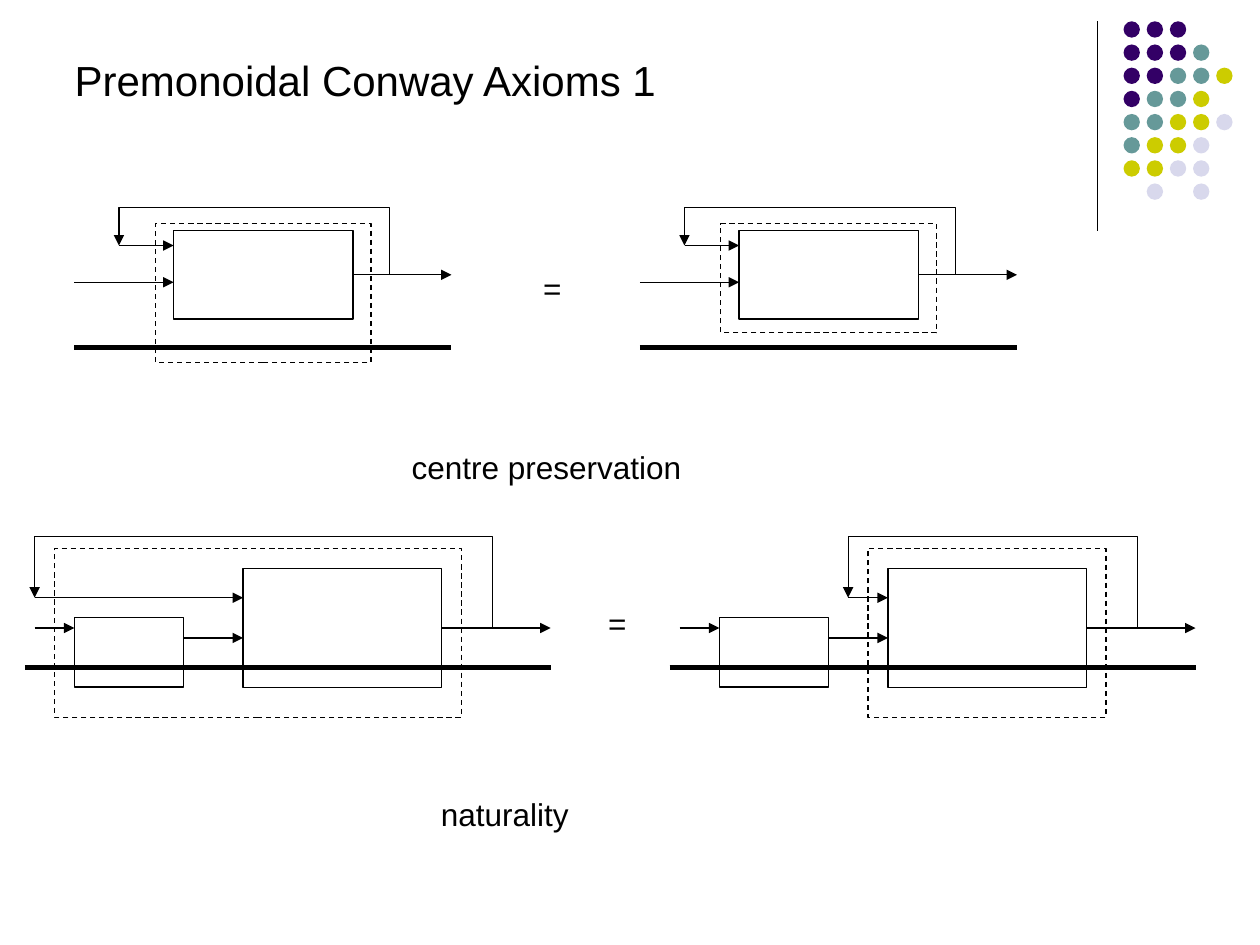
from lxml import etree
from pptx import Presentation
from pptx.dml.color import RGBColor
from pptx.enum.dml import MSO_LINE
from pptx.enum.shapes import MSO_CONNECTOR, MSO_SHAPE
from pptx.enum.text import MSO_ANCHOR, MSO_AUTO_SIZE, PP_ALIGN
from pptx.oxml.ns import qn
from pptx.util import Cm, Pt

RECT, OVAL = MSO_SHAPE.RECTANGLE, MSO_SHAPE.OVAL
STRAIGHT, ELBOW = MSO_CONNECTOR.STRAIGHT, MSO_CONNECTOR.ELBOW
DASH = MSO_LINE.DASH
TOP, LEFT = MSO_ANCHOR.TOP, PP_ALIGN.LEFT
FIT = MSO_AUTO_SIZE.SHAPE_TO_FIT_TEXT
RIGHT_SIDE = 3
BLACK = "000000"
DOT_COLORS = {"P": "330066", "T": "669999", "Y": "CCCC00", "L": "D8D8EC"}
DOT_ROWS = ["PPP", "PPPT", "PPTTY", "PTTY", "TTYYL", "TYYL", "YYLL", " L L"]


def rgb(color):
    """Turn a hex string into a colour."""
    return RGBColor.from_string(color)


def write(sp, text, size=18, color=BLACK, font="Arial"):
    """Put one unwrapped, left-aligned line of text into a shape."""
    tf = sp.text_frame
    tf.word_wrap = False
    tf.auto_size = FIT
    tf.vertical_anchor = TOP
    p = tf.paragraphs[0]
    p.alignment = LEFT
    r = p.add_run()
    r.text = text
    r.font.name, r.font.size = font, Pt(size)
    r.font.color.rgb = rgb(color)


def add_label(s, x, y, w, text):
    """Add a one-line text box."""
    write(s.shapes.add_textbox(Cm(x), Cm(y), Cm(w), Cm(1.02)), text)


def add_box(s, x, y, w, h, dash=None):
    """Add an unfilled outlined rectangle."""
    sp = s.shapes.add_shape(RECT, Cm(x), Cm(y), Cm(w), Cm(h))
    sp.shadow.inherit = False
    sp.fill.background()
    sp.line.color.rgb = rgb(BLACK)
    sp.line.width = Pt(0.75)
    if dash:
        sp.line.dash_style = dash
    return sp


def add_line(s, x1, y1, x2, y2, width=0.75, arrow=False, kind=STRAIGHT):
    """Add a black connector, with an arrowhead at its end if asked."""
    c = s.shapes.add_connector(kind, Cm(x1), Cm(y1), Cm(x2), Cm(y2))
    c.line.color.rgb = rgb(BLACK)
    c.line.width = Pt(width)
    if arrow:
        etree.SubElement(c.line._ln, qn("a:tailEnd"), type="triangle")
    etree.SubElement(c._element.spPr, qn("a:effectLst"))
    return c


def add_arrow(s, x1, y, x2, source=None):
    """Add a horizontal arrow, joined to the right side of its source box."""
    c = add_line(s, x1, y, x2, y, arrow=True)
    if source is not None:
        c.begin_connect(source, RIGHT_SIDE)


def add_feedback(s, x1, y1, x2, y2, right, top):
    """Add a loop that leaves to the right, passes over the top and comes down."""
    c = add_line(s, x1, y1, x2, y2, arrow=True, kind=ELBOW)
    geom = c._element.spPr.find(qn("a:prstGeom"))
    geom.set("prst", "bentConnector4")
    guides = geom.find(qn("a:avLst"))
    ratios = ((x1 - right) / (x1 - x2), (y1 - top) / (y1 - y2))
    for i, ratio in enumerate(ratios, 1):
        etree.SubElement(guides, qn("a:gd"), name=f"adj{i}",
                         fmla=f"val {round(ratio * 100000)}")


def add_centre_diagram(s, x, y, frame_height):
    """Draw one side of the centre preservation axiom."""
    box = add_box(s, x + 2, y + 0.46, 3.62, 1.78)
    add_arrow(s, x + 0.9, y + 0.76, x + 2)
    add_arrow(s, x, y + 1.5, x + 2)
    add_arrow(s, x + 5.62, y + 1.35, x + 7.6, box)
    add_feedback(s, x + 5.8, y + 1.35, x + 0.9, y + 0.76, x + 6.36, y)
    add_line(s, x, y + 2.82, x + 7.6, y + 2.82, width=3)
    add_box(s, x + 1.63, y + 0.32, 4.35, frame_height, DASH)


def add_naturality_diagram(s, x, y, loop_x, frame_x):
    """Draw one side of the naturality axiom."""
    box = add_box(s, x + 4.4, y + 0.64, 4, 2.4)
    add_arrow(s, x + 8.4, y + 1.84, x + 10.6, box)
    add_box(s, x + 1, y + 1.63, 2.2, 1.4)
    add_arrow(s, x + 0.2, y + 1.84, x + 1)
    add_arrow(s, x + 3.2, y + 2.04, x + 4.4)
    add_line(s, x, y + 2.63, x + 10.6, y + 2.63, width=3)
    add_arrow(s, x + loop_x, y + 1.23, x + 4.4)
    add_feedback(s, x + 8.8, y + 1.84, x + loop_x, y + 1.23, x + 9.43, y)
    add_box(s, x + frame_x, y + 0.24, 8.8 - frame_x, 3.4, DASH)


def add_dots(s, x, y, pitch=0.467, size=0.33):
    """Draw the corner ornament: a rule and a grid of coloured dots."""
    add_line(s, x, y, x, y + 4.23)
    for i, row in enumerate(DOT_ROWS):
        for j, key in enumerate(row):
            if key in DOT_COLORS:
                sp = s.shapes.add_shape(OVAL, Cm(x + 0.53 + j * pitch), Cm(y + i * pitch),
                                        Cm(size), Cm(size))
                sp.shadow.inherit = False
                sp.fill.solid()
                sp.fill.fore_color.rgb = rgb(DOT_COLORS[key])
                sp.line.fill.background()


def add_title(s, x, y, w, h, text):
    """Place and fill the title placeholder."""
    sp = s.shapes.title
    sp.left, sp.top, sp.width, sp.height = Cm(x), Cm(y), Cm(w), Cm(h)
    write(sp, text, size=24)


def main():
    """Build the slide and save it."""
    prs = Presentation()
    prs.slide_width, prs.slide_height = Cm(25.4), Cm(19.05)
    s = prs.slides.add_slide(prs.slide_layouts[5])
    add_dots(s, 22.12, 0.43)
    add_title(s, 1.25, 0.97, 12.4, 1.27, "Premonoidal Conway Axioms 1")

    add_centre_diagram(s, 1.5, 4.19, 2.8)
    add_label(s, 10.7, 5.29, 0.9, "=")
    add_centre_diagram(s, 12.9, 4.19, 2.2)
    add_label(s, 8.05, 8.91, 6.1, "centre preservation")

    add_naturality_diagram(s, 0.5, 10.82, 0.2, 0.6)
    add_label(s, 12.01, 12.05, 0.9, "=")
    add_naturality_diagram(s, 13.5, 10.82, 3.6, 4)
    add_label(s, 8.64, 15.9, 3.3, "naturality")
    prs.save("out.pptx")


if __name__ == "__main__":
    main()
